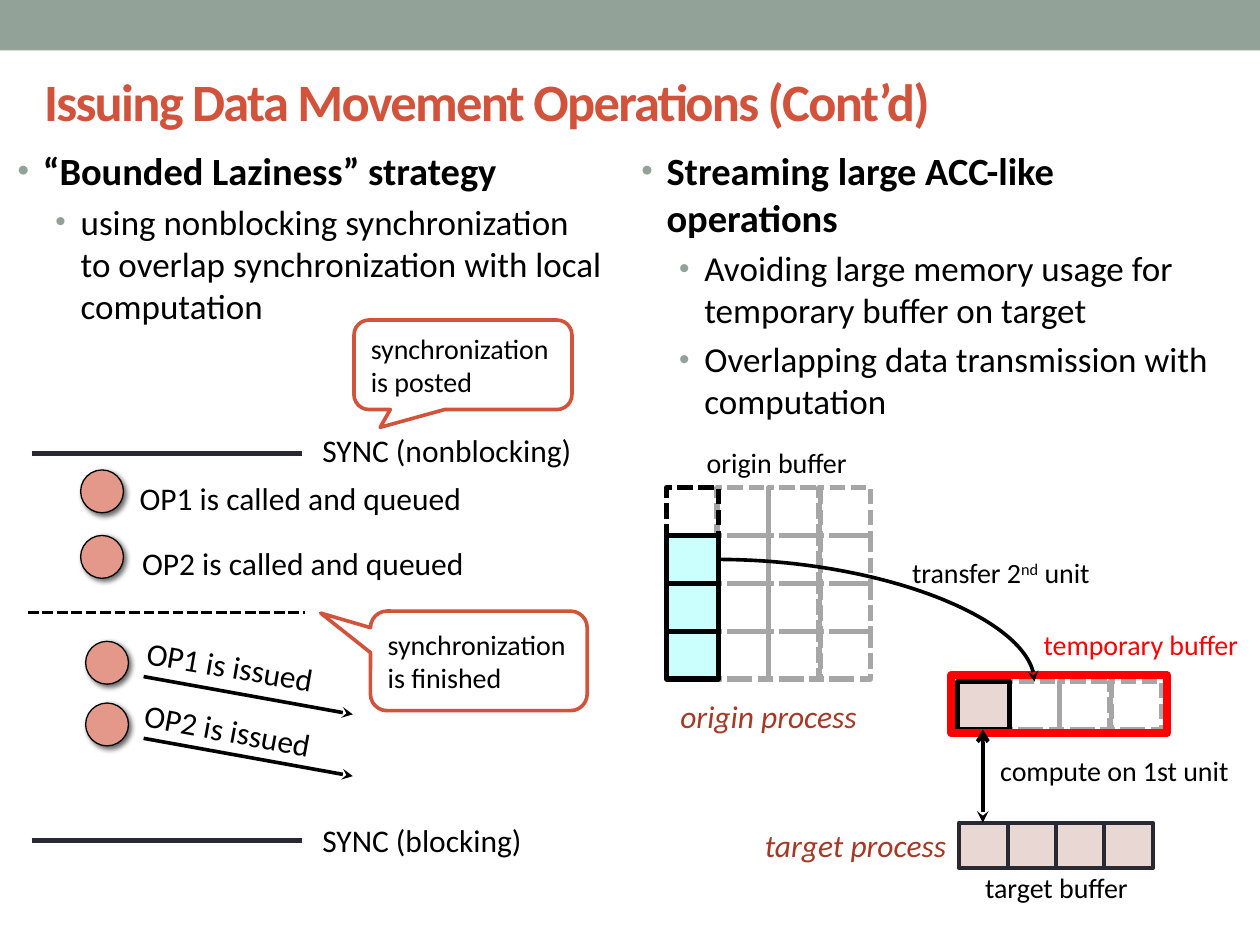
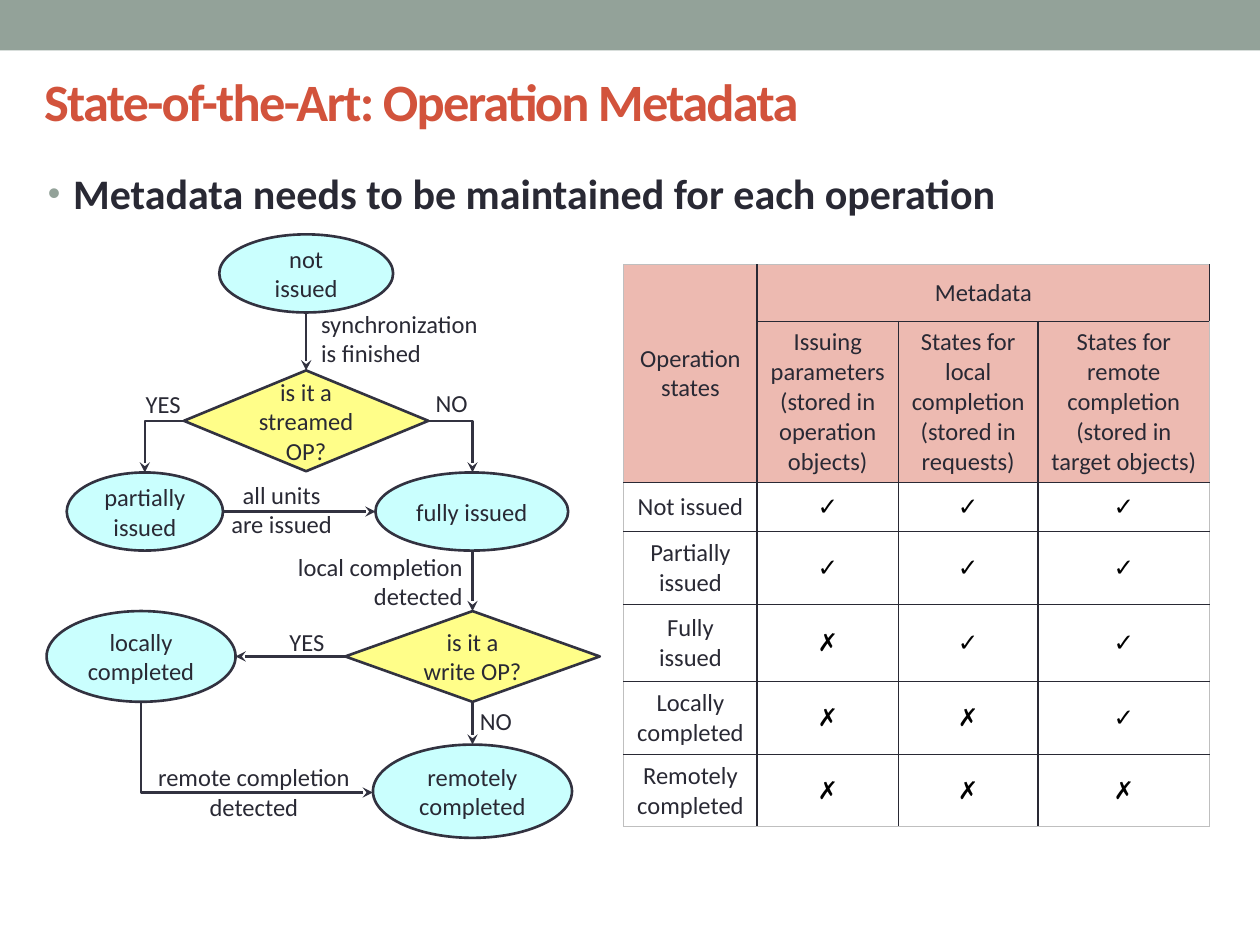
from lxml import etree
from pptx import Presentation
from pptx import util as u
from pptx.dml.color import RGBColor
from pptx.enum import dml, shapes, text
from pptx.oxml import ns

PX = 9144  # 100 px to the inch
RGB = RGBColor.from_string
KIND = shapes.MSO_SHAPE
LINK = shapes.MSO_CONNECTOR
DASH = dml.MSO_LINE.SQUARE_DOT
LEFT, MID, RIGHT = text.PP_ALIGN.LEFT, text.PP_ALIGN.CENTER, text.PP_ALIGN.RIGHT


class Theme:
    font, mark = "Calibri", "Arial"
    band, red, rust, alert = RGB("93A299"), RGB("D2533C"), RGB("A53926"), RGB("FF0000")
    black, white, ink, edge = RGB("000000"), RGB("FFFFFF"), RGB("292934"), RGB("323240")
    gray, frame = RGB("A6A6A6"), RGB("BFBFBF")
    coral, rose, blush = RGB("E4988A"), RGB("EDBAB1"), RGB("E9D7D3")
    aqua, yellow = RGB("CAFFFE"), RGB("FFFE89")
    title, lead, head, sub, label, note, small = 30, 24, 22, 20, 18, 16, 14


def add(slide, kind, box, label="", fill=None, line=None, width=1.5, dash=None,
        size=Theme.note, color=Theme.black, align=LEFT, italic=None):
    """Add a preset shape, or a text box if kind is None; ^ marks raise text."""
    spot = [n * PX for n in box]
    if kind is None:
        item = slide.shapes.add_textbox(*spot)
    else:
        item = slide.shapes.add_shape(kind, *spot)
        item.shadow.inherit = False
        for part, tone in ((item.fill, fill), (item.line.fill, line)):
            if tone is None:
                part.background()
            else:
                part.solid()
                part.fore_color.rgb = tone
        if line is not None:
            item.line.width = u.Pt(width)
            item.line.dash_style = dash
    if label:
        frame = item.text_frame
        frame.word_wrap = True
        para = frame.paragraphs[0]
        para.alignment = align
        for i, piece in enumerate(label.split("^")):
            run = para.add_run()
            run.text = piece
            form = dict(name=Theme.font, size=u.Pt(size), italic=italic)
            for key, val in form.items():
                setattr(run.font, key, val)
            run.font.color.rgb = color
            if i % 2:
                run.font._element.set("baseline", "30000")
    return item


def join(slide, ends, color, width, head=None, tail=None, dash=None,
         kind=LINK.STRAIGHT):
    """Draw a line; elbows and curves run level first and turn once."""
    item = slide.shapes.add_connector(kind, *[n * PX for n in ends])
    item.line.color.rgb = color
    item.line.width = u.Pt(width)
    item.line.dash_style = dash
    prop = item.element.spPr
    if kind != LINK.STRAIGHT:
        shape = prop.find(ns.qn("a:prstGeom"))
        shape.set("prst", shape.get("prst").replace("3", "2"))
    for end, tip in (("a:headEnd", head), ("a:tailEnd", tail)):
        if tip:
            etree.SubElement(prop.find(ns.qn("a:ln")), ns.qn(end), type=tip)
    etree.SubElement(prop, ns.qn("a:effectLst"))


deck = Presentation()
deck.slide_width, deck.slide_height = 1000 * PX, 750 * PX

# Bands, titles and lists: a list is its box, colour, and (level, size, text) rows
pages = [
    (3, "Issuing Data Movement Operations (Cont’d)", [
        ((4, 112, 485, 156), Theme.black, [
            (0, Theme.head, "“Bounded Laziness” strategy"),
            (1, Theme.sub, "using nonblocking synchronization to overlap "
                           "synchronization with local computation")]),
        ((499, 112, 482, 296), Theme.black, [
            (0, Theme.head, "Streaming large ACC-like operations"),
            (1, Theme.sub, "Avoiding large memory usage for temporary buffer on target"),
            (1, Theme.sub, "Overlapping data transmission with computation")])]),
    (1, "State-of-the-Art: Operation Metadata", [
        ((28, 128, 906, 72), Theme.ink, [
            (0, Theme.lead, "Metadata needs to be maintained for each operation")])]),
]
for layout, title, lists in pages:
    slide = deck.slides.add_slide(deck.slide_layouts[layout])
    add(slide, KIND.RECTANGLE, (0, 0, 1000, 40), fill=Theme.band)
    holds = list(slide.placeholders)
    blocks = [((25, 37, 950, 85), Theme.red, [(None, Theme.title, title)])] + lists
    for hold, (box, color, rows) in zip(holds, blocks):
        hold.left, hold.top, hold.width, hold.height = [n * PX for n in box]
        frame = hold.text_frame
        frame.auto_size = text.MSO_AUTO_SIZE.NONE
        frame.word_wrap = True
        is_title = rows[0][0] is None
        frame.vertical_anchor = text.MSO_ANCHOR.MIDDLE if is_title else text.MSO_ANCHOR.TOP
        for i, (level, size, words) in enumerate(rows):
            para = frame.add_paragraph() if i else frame.paragraphs[0]
            para.alignment = LEFT
            para.space_before = u.Pt(4 if i else 0)
            if not is_title:
                para.level = level
                prop = para._p.get_or_add_pPr()
                prop.set("marL", str((20 + 30 * level) * PX))
                prop.set("indent", str(-20 * PX))
                tone = etree.SubElement(prop, ns.qn("a:buClr"))
                etree.SubElement(tone, ns.qn("a:srgbClr"), val=str(Theme.band))
                etree.SubElement(prop, ns.qn("a:buSzPct"), val="85000")
                etree.SubElement(prop, ns.qn("a:buFont"), typeface=Theme.mark)
                etree.SubElement(prop, ns.qn("a:buChar"), char="•")
            run = para.add_run()
            run.text = words
            form = dict(name=Theme.font, size=u.Pt(size), bold=not level)
            for key, val in form.items():
                setattr(run.font, key, val)
            run.font.color.rgb = color
            if is_title:
                run.font._element.set("spc", "-100")
issue, state = deck.slides

# Slide 1, left: timeline of queued and issued operations
for y in (360, 667):
    join(issue, (25, y, 240, y), Theme.ink, 3)
join(issue, (22, 486, 242, 486), Theme.black, 2.08, dash=DASH)
for x, y in ((64, 373), (64, 425), (68, 509), (68, 558)):
    ball = add(issue, KIND.OVAL, (x, y, 34, 34), fill=Theme.coral,
               line=Theme.black, width=0.75)
    glow = etree.SubElement(ball.element.spPr.find(ns.qn("a:effectLst")),
                            ns.qn("a:outerShdw"), blurRad=str(u.Pt(3)),
                            dist=str(u.Pt(2)), dir="2700000")
    tone = etree.SubElement(glow, ns.qn("a:srgbClr"), val=str(Theme.black))
    etree.SubElement(tone, ns.qn("a:alpha"), val="60000")
for x, y, width, turn, words in (
        (246, 337, 234, 0, "SYNC (nonblocking)"),
        (101, 375, 313, 0, "OP1 is called and queued"),
        (103, 427, 330, 0, "OP2 is called and queued"),
        (106, 512, 193, 9.8, "OP1 is issued"),
        (104, 563, 193, 10.5, "OP2 is issued"),
        (246, 647, 227, 0, "SYNC (blocking)")):
    add(issue, None, (x, y, width, 40), words, size=Theme.label).rotation = turn
for y in (537, 586):
    join(issue, (114, y, 280, y + 30), Theme.black, 2.08, tail="stealth")
for box, tip, words in (
        ((281, 254, 173, 71), (-0.38, 0.7), "synchronization is posted"),
        ((294, 485, 172, 79), (-0.73, -0.48), "synchronization is finished")):
    call = add(issue, KIND.ROUNDED_RECTANGULAR_CALLOUT, box, words,
               fill=Theme.white, line=Theme.red, width=2.08)
    call.adjustments[0], call.adjustments[1] = tip

# Slide 1, right: buffers, first column or cell drawn last to lie on top
for col in (1, 2, 3, 0):
    shift = col * 81 // 2
    tone = Theme.gray if col else Theme.black
    for row in range(4):
        full = col == 0 and row > 0
        add(issue, KIND.RECTANGLE, (529 + shift, 387 + row * 38, 41, 38),
            fill=Theme.aqua if full else None, line=tone, width=3,
            dash=None if full else DASH)
    add(issue, KIND.RECTANGLE, (760 + shift, 541, 41, 38),
        fill=None if col else Theme.blush, line=tone, width=3,
        dash=DASH if col else None)
    add(issue, KIND.RECTANGLE, (761 + col * 77 // 2, 653, 39, 36),
        fill=Theme.blush, line=Theme.ink, width=2.25)
add(issue, KIND.RECTANGLE, (755, 536, 171, 46), line=Theme.alert, width=4.5)
for box, words, color, align in (
        ((523, 349, 187, 37), "origin buffer", Theme.black, MID),
        ((797, 493, 217, 37), "temporary buffer", Theme.alert, MID),
        ((745, 686, 187, 37), "target buffer", Theme.black, MID),
        ((784, 593, 216, 37), "compute on 1st unit", Theme.black, LEFT),
        ((714, 436, 247, 37), "transfer 2^nd^ unit", Theme.black, LEFT)):
    add(issue, None, box, words, color=color, align=align)
for box, words in (((529, 548, 162, 40), "origin process"),
                   ((585, 651, 188, 40), "target process")):
    add(issue, None, box, words, size=Theme.label, color=Theme.rust,
        align=MID, italic=True)
join(issue, (780, 579, 780, 653), Theme.black, 2.25, head="arrow", tail="stealth")
join(issue, (569, 444, 821, 541), Theme.black, 2.08, tail="stealth", kind=LINK.CURVE)

# Slide 2, left: flow of operation states
for kind, fill, nodes in (
        (KIND.OVAL, Theme.aqua, (
            ((174, 186, 138, 62), "not issued"),
            ((53, 375, 124, 62), "partially issued"),
            ((298, 375, 153, 62), "fully issued"),
            ((37, 485, 150, 72), "locally completed"),
            ((296, 591, 158, 74), "remotely completed"))),
        (KIND.DIAMOND, Theme.yellow, (
            ((146, 294, 194, 80), "is it a streamed OP?"),
            ((274, 485, 202, 72), "is it a write OP?")))):
    for box, words in nodes:
        add(state, kind, box, words, fill=fill, line=Theme.edge,
            size=Theme.small, color=Theme.ink, align=MID)
for ends in ((243, 248, 243, 294), (177, 406, 298, 406), (375, 437, 375, 485),
             (274, 521, 187, 521), (375, 557, 375, 591)):
    join(state, ends, Theme.edge, 1.5, tail="stealth")
for ends, tips in (((146, 334, 115, 375), dict(tail="stealth")),
                   ((340, 334, 375, 375), dict(tail="stealth")),
                   ((296, 629, 112, 557), dict(head="stealth"))):
    join(state, ends, Theme.edge, 1.5, kind=LINK.ELBOW, **tips)
for box, words, align in (
        ((245, 240, 148, 58), "synchronization is finished", LEFT),
        ((99, 304, 61, 35), "YES", MID),
        ((334, 303, 49, 35), "NO", MID),
        ((171, 376, 105, 57), "all units are issued", MID),
        ((205, 433, 172, 57), "local completion detected", RIGHT),
        ((214, 493, 59, 35), "YES", MID),
        ((369, 555, 49, 35), "NO", MID),
        ((114, 600, 175, 57), "remote completion detected", MID)):
    add(state, None, box, words, size=Theme.small, color=Theme.ink, align=align)

# Slide 2, right: metadata kept in each state
rows = [
    ("Operation states", "Metadata", "", ""),
    ("", "Issuing parameters (stored in operation objects)",
     "States for local completion (stored in requests)",
     "States for remote completion (stored in target objects)"),
    ("Not issued", *"✓✓✓"),
    ("Partially issued", *"✓✓✓"),
    ("Fully issued", *"✗✓✓"),
    ("Locally completed", *"✗✗✓"),
    ("Remotely completed", *"✗✗✗"),
]
wide, high = (106, 112, 111, 136), (45, 128, 39, 58, 61, 58, 57)
spot = [n * PX for n in (495, 210, sum(wide), sum(high))]
grid = state.shapes.add_table(len(rows), len(wide), *spot).table
grid.first_row = grid.horz_banding = False
for col, width in zip(grid.columns, wide):
    col.width = width * PX
for row, height in zip(grid.rows, high):
    row.height = height * PX
grid.cell(0, 0).merge(grid.cell(1, 0))
grid.cell(0, 1).merge(grid.cell(0, 3))
for r, row in enumerate(rows):
    for c, words in enumerate(row):
        cell = grid.cell(r, c)
        prop = cell._tc.get_or_add_tcPr()
        outer = dict(lnL=c == 0, lnR=c == len(wide) - 1,
                     lnT=r == 0, lnB=r == len(rows) - 1)
        for side, rim in outer.items():
            rule = etree.SubElement(prop, ns.qn("a:" + side),
                                    w=str(u.Pt(0.5 if rim else 1)))
            tone = etree.SubElement(rule, ns.qn("a:solidFill"))
            etree.SubElement(tone, ns.qn("a:srgbClr"),
                             val=str(Theme.frame if rim else Theme.ink))
        cell.fill.solid()
        cell.fill.fore_color.rgb = Theme.rose if r < 2 else Theme.white
        cell.vertical_anchor = text.MSO_ANCHOR.MIDDLE
        if words:
            tick = words in "✓✗"
            para = cell.text_frame.paragraphs[0]
            para.alignment = MID
            run = para.add_run()
            run.text = words
            form = dict(name=Theme.mark if tick else Theme.font,
                        size=u.Pt(Theme.small), bold=words == "✗")
            for key, val in form.items():
                setattr(run.font, key, val)
            run.font.color.rgb = Theme.black if tick else Theme.ink

deck.save("out.pptx")
